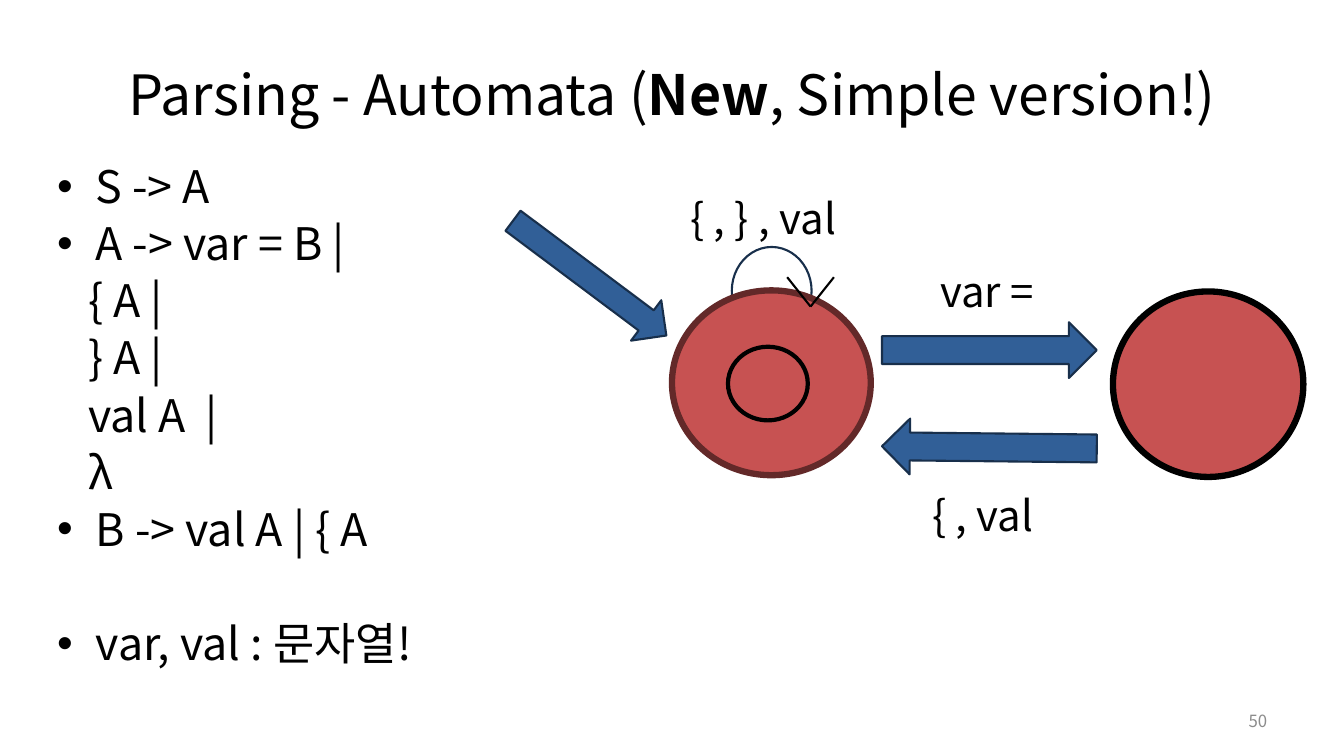
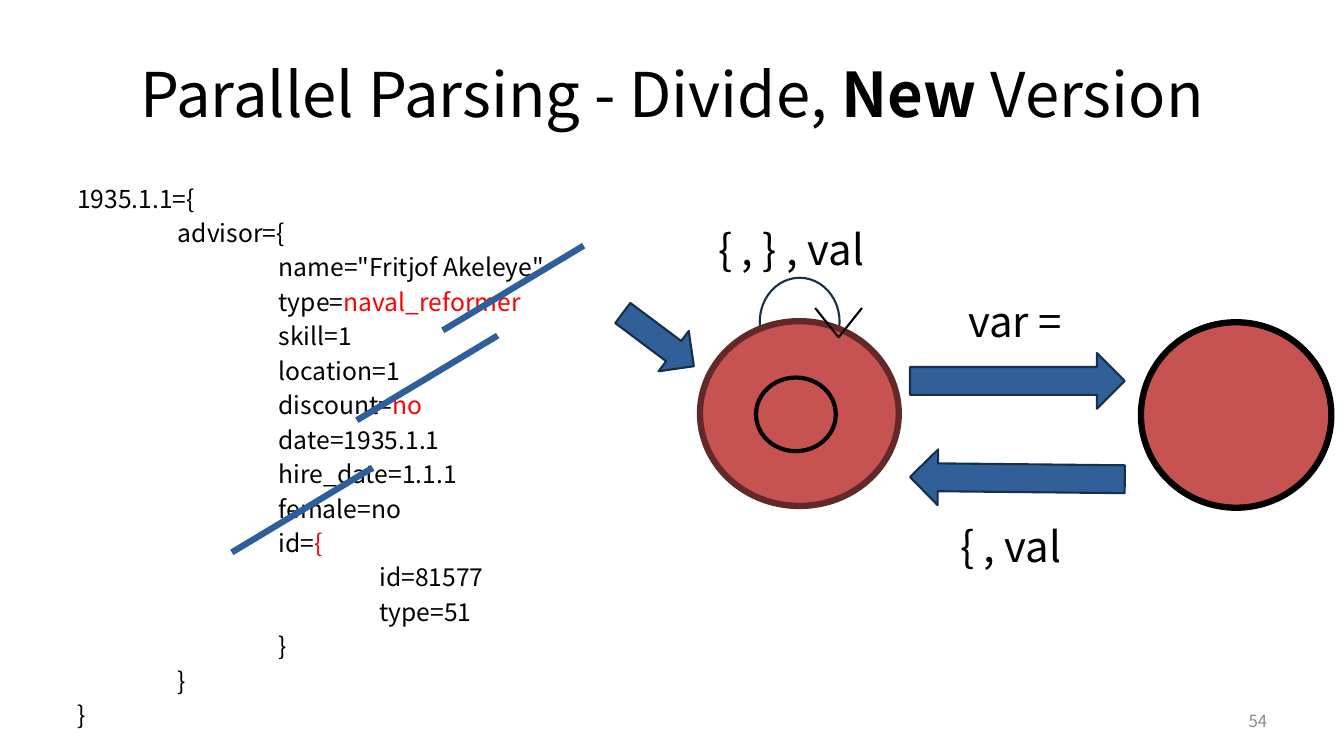
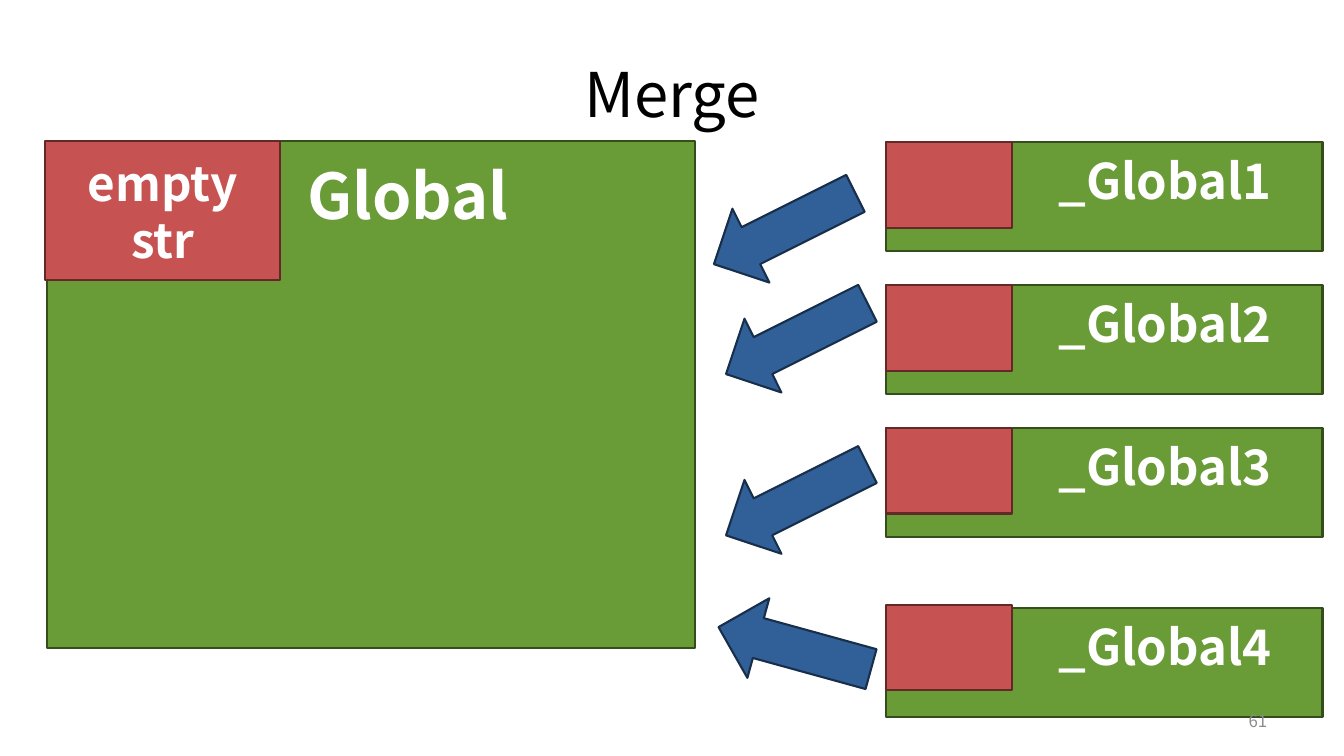
"""Build three slides on parsing automata, parallel division and merging."""
from dataclasses import dataclass

from lxml.etree import SubElement
from pptx import Presentation
from pptx.dml.color import RGBColor
from pptx.enum.shapes import MSO_CONNECTOR, MSO_SHAPE
from pptx.enum.text import MSO_ANCHOR, PP_ALIGN
from pptx.oxml.ns import qn
from pptx.util import Pt


@dataclass(frozen=True)
class Theme:
    font: str = "Noto Sans CJK KR"
    text: str = "000000"
    inverse: str = "FFFFFF"
    accent: str = "FF0000"
    muted: str = "8C8C8C"
    blue: str = "315F97"
    blue_edge: str = "182F4B"
    cut: str = "2E5F9A"
    red: str = "C75252"
    red_edge: str = "632929"
    green: str = "699B37"
    green_edge: str = "344D1B"
    title_size: float = 44
    grammar_size: float = 32
    label_size: float = 30
    code_size: float = 17.6
    global_size: float = 45
    part_size: float = 35
    key_size: float = 34
    number_size: float = 12
    thin: float = 1.5
    medium: float = 3
    thick: float = 4.5


class Deck:
    def __init__(self, theme):
        self.theme = theme
        self.file = Presentation()
        self.file.slide_width, self.file.slide_height = Pt(960), Pt(540)
        self.page = None

    def add_page(self):
        self.page = self.file.slides.add_slide(self.file.slide_layouts[6])

    def format_span(self, span, size, color, bold=False):
        span.font.name = self.theme.font
        span.font.size = Pt(size)
        span.font.bold = bold
        span.font.color.rgb = RGBColor.from_string(color)
        SubElement(span.font._element, qn("a:ea"), typeface=self.theme.font)

    def text(self, area, content, size, color=None, align=PP_ALIGN.LEFT, anchor=MSO_ANCHOR.TOP):
        box = self.page.shapes.add_textbox(*map(Pt, area))
        frame = box.text_frame
        frame.word_wrap = True
        frame.vertical_anchor = anchor
        frame.text = content
        para = frame.paragraphs[0]
        para.alignment = align
        for span in para.runs:
            self.format_span(span, size, color or self.theme.text)
        return frame

    def title(self, before, strong="", after="", size=None):
        size = size or self.theme.title_size
        frame = self.text((48, 21.6, 864, 90), before, size,
                          align=PP_ALIGN.CENTER, anchor=MSO_ANCHOR.MIDDLE)
        for content, bold in ((strong, True), (after, False)):
            if content:
                span = frame.paragraphs[0].add_run()
                span.text = content
                self.format_span(span, size, self.theme.text, bold)

    def number(self, value):
        self.text((688.3, 500.4, 223.9, 28.8), str(value), self.theme.number_size,
                  self.theme.muted, PP_ALIGN.RIGHT, MSO_ANCHOR.MIDDLE)

    def grammar(self, area, rules):
        frame = self.text(area, "", self.theme.grammar_size)
        for index, (bulleted, gap, content) in enumerate(rules):
            para = frame.add_paragraph() if index else frame.paragraphs[0]
            para.text = content
            para.line_spacing = Pt(40.8)
            para.space_before = Pt(gap)
            properties = para._p.get_or_add_pPr()
            properties.set("marL", str(Pt(27.4 if bulleted else 22)))
            properties.set("indent", str(Pt(-27.4 if bulleted else 0)))
            if bulleted:
                SubElement(properties, qn("a:buFont"), typeface="Arial")
                SubElement(properties, qn("a:buChar"), char="•")
            self.format_span(para.runs[0], self.theme.grammar_size, self.theme.text)

    def code(self, area, lines):
        frame = self.text(area, "", self.theme.code_size)
        for index, (depth, content, marked) in enumerate(lines):
            para = frame.add_paragraph() if index else frame.paragraphs[0]
            para.text = "\t" * depth + content
            para.line_spacing = Pt(24.6)
            stops = SubElement(para._p.get_or_add_pPr(), qn("a:tabLst"))
            for stop in range(1, 4):
                SubElement(stops, qn("a:tab"), pos=str(Pt(72 * stop)), algn="l")
            self.format_span(para.runs[0], self.theme.code_size, self.theme.text)
            if marked:
                span = para.add_run()
                span.text = marked
                self.format_span(span, self.theme.code_size, self.theme.accent)

    def shape(self, kind, area, fill, edge, width=None, turn=0):
        shape = self.page.shapes.add_shape(kind, *map(Pt, area))
        shape.shadow.inherit = False
        shape.rotation = turn
        if fill:
            shape.fill.solid()
            shape.fill.fore_color.rgb = RGBColor.from_string(fill)
        else:
            shape.fill.background()
        shape.line.color.rgb = RGBColor.from_string(edge)
        shape.line.width = Pt(width or self.theme.thin)
        return shape

    def circle(self, area, fill, edge, width=None):
        self.shape(MSO_SHAPE.OVAL, area, fill, edge, width)

    def arrow(self, area, turn=0):
        self.shape(MSO_SHAPE.RIGHT_ARROW, area, self.theme.blue, self.theme.blue_edge, turn=turn)

    def line(self, start, end, color, width):
        line = self.page.shapes.add_connector(MSO_CONNECTOR.STRAIGHT, *map(Pt, (*start, *end)))
        line.line.color.rgb = RGBColor.from_string(color)
        line.line.width = Pt(width)
        SubElement(line._element.spPr, qn("a:effectLst"))

    def block(self, area, fill, edge, content="", size=0, left=7.2, top=None):
        shape = self.shape(MSO_SHAPE.RECTANGLE, area, fill, edge)
        if not content:
            return
        frame = shape.text_frame
        frame.word_wrap = True
        frame.margin_left = Pt(left)
        frame.vertical_anchor = MSO_ANCHOR.MIDDLE
        if top is not None:
            frame.vertical_anchor = MSO_ANCHOR.TOP
            frame.margin_top = Pt(top)
        frame.text = content
        frame.paragraphs[0].alignment = PP_ALIGN.CENTER
        self.format_span(frame.paragraphs[0].runs[0], size, self.theme.inverse, True)

    def automaton(self, x, y, start):
        theme = self.theme
        self.circle((x + 42.7, y, 57, 62.8), None, theme.blue_edge)
        self.circle((x, y + 31, 142, 132), theme.red, theme.red_edge, theme.thick)
        self.circle((x + 315, y + 31.8, 136, 132.5), theme.red, theme.text, theme.thick)
        self.arrow((x + 150, y + 53.8, 153.4, 39.8))
        self.arrow((x + 150, y + 123.2, 153.4, 39.8), 180.6)
        for side in (-16.7, 16.7):
            self.line((x + 99 + side, y + 21.6), (x + 99, y + 42.6), theme.text, theme.thin)
        labels = (("{ , } , val", 6, -42.4), ("var =", 184.6, 9.4), ("{ , val", 178.8, 169.9))
        for content, left, top in labels:
            self.text((x + left, y + top, 167, 43), content, theme.label_size)
        self.arrow(start, 36.8)
        self.circle((x + 40, y + 71.3, 57, 52.6), theme.red, theme.text, theme.medium)


def parsing_page(deck):
    deck.add_page()
    deck.title("Parsing - Automata (", "New", ", Simple version!)", 39.6)
    deck.automaton(480, 176.4, (352.8, 180.7, 136.8, 36))
    deck.grammar((33.8, 107.5, 406.8, 400), (
        (True, 0, "S -> A"),
        (True, 0, "A -> var = B |"),
        (False, 0, "{ A |"),
        (False, 0, "} A |"),
        (False, 0, "val A  |"),
        (False, 0, "λ"),
        (True, 0, "B -> val A | { A"),
        (True, 40.8, "var, val : 문자열!"),
    ))
    deck.number(50)


def divide_page(deck):
    deck.add_page()
    deck.title("Parallel Parsing - Divide, ", "New ", "Version")
    deck.code((48, 124, 398.2, 400), (
        (0, "1935.1.1={", ""),
        (1, "advisor={", ""),
        (2, 'name="Fritjof Akeleye"', ""),
        (2, "type=", "naval_reformer"),
        (2, "skill=1", ""),
        (2, "location=1", ""),
        (2, "discount=", "no"),
        (2, "date=1935.1.1", ""),
        (2, "hire_date=1.1.1", ""),
        (2, "female=no", ""),
        (2, "id=", "{"),
        (3, "id=81577", ""),
        (3, "type=51", ""),
        (2, "}", ""),
        (1, "}", ""),
        (0, "}", ""),
    ))
    for left, bottom in ((316.3, 236), (254.9, 300.2), (165.6, 394.6)):
        deck.line((left, bottom), (left + 100.6, bottom - 60.5), deck.theme.cut, deck.theme.thick)
    deck.automaton(500, 198.4, (438.5, 224.6, 63.4, 36))
    deck.number(54)


def merge_page(deck):
    theme = deck.theme
    green = theme.green, theme.green_edge
    red = theme.red, theme.red_edge
    deck.add_page()
    deck.title("Merge")
    deck.block((33.8, 100.8, 463, 362.2), *green, "Global", theme.global_size, 59, 11.3)
    deck.block((32.4, 100.8, 167.8, 99.4), *red, "empty str", theme.key_size)
    parts = ((101.5, 101.5), (203.6, 203.6), (305.6, 305.6), (434.2, 432))
    for index, (top, key_top) in enumerate(parts, 1):
        deck.block((632.9, top, 311.8, 77.8), *green, f"_Global{index}", theme.part_size, 94, 6)
        deck.block((632.9, key_top, 90, 61.2), *red)
    arrows = ((504, 133.9, 153.4), (512.6, 212.4, 153.4), (512.6, 327.6, 153.4), (511.2, 433.4, 195.4))
    for left, top, turn in arrows:
        deck.arrow((left, top, 113, 59), turn)
    deck.number(61)


def main():
    deck = Deck(Theme())
    parsing_page(deck)
    divide_page(deck)
    merge_page(deck)
    deck.file.save("out.pptx")


if __name__ == "__main__":
    main()
